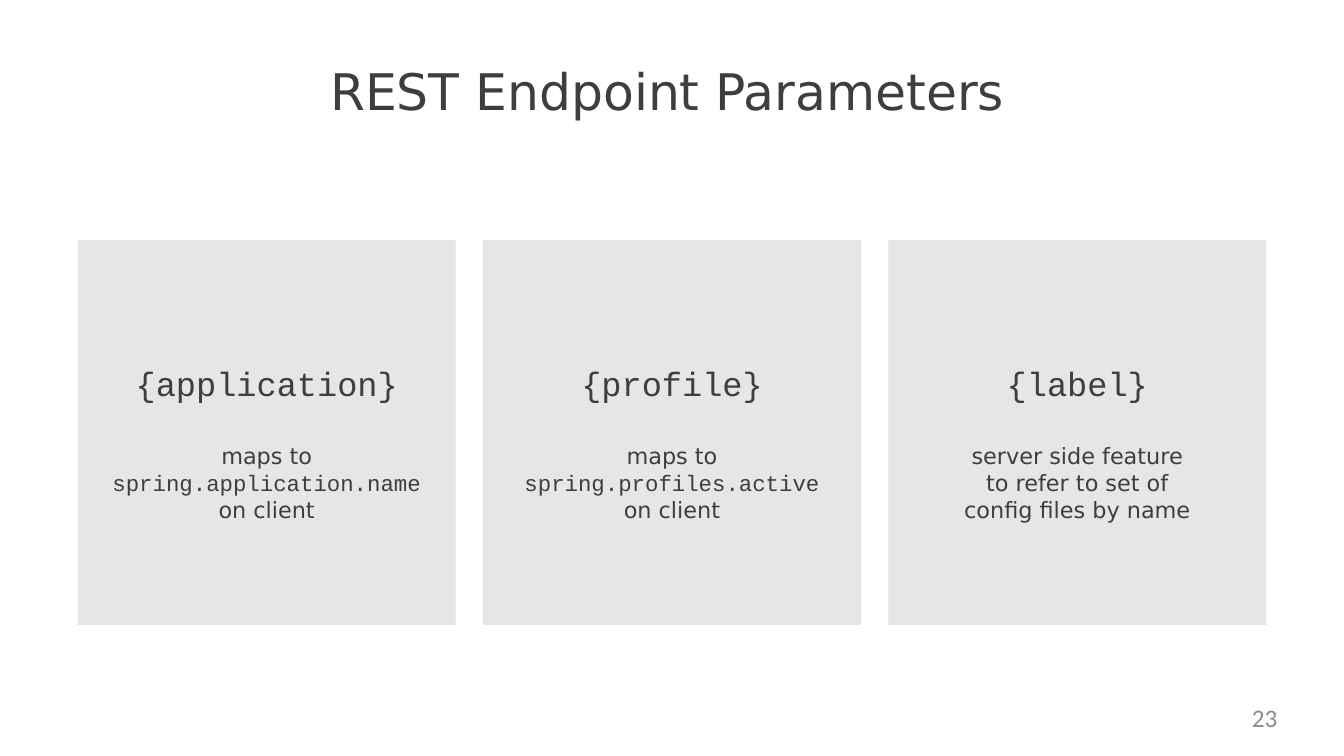
import pptx
import pptx.util
import pptx.dml.color
import pptx.enum.shapes
import pptx.enum.text

Inches = pptx.util.Inches
Pt = pptx.util.Pt
RGBColor = pptx.dml.color.RGBColor
Align = pptx.enum.text.PP_ALIGN

TITLE = "REST Endpoint Parameters"
PAGE_NUMBER = "23"
SANS, MONO, NUMBER_FONT = "DejaVu Sans", "Courier New", "Calibri"
CARDS = [
    ("{application}", [("maps to", SANS), ("spring.application.name", MONO), ("on client", SANS)]),
    ("{profile}", [("maps to", SANS), ("spring.profiles.active", MONO), ("on client", SANS)]),
    ("{label}", [("server side feature", SANS), ("to refer to set of", SANS),
                 ("config files by name", SANS)]),
]

INK = RGBColor(0x3E, 0x3E, 0x3E)
CARD_GRAY = RGBColor(0xE6, 0xE6, 0xE6)
NUMBER_GRAY = RGBColor(0x8C, 0x8C, 0x8C)

CARD_LEFT, CARD_TOP, CARD_WIDTH, CARD_HEIGHT = 0.77, 2.38, 3.75, 3.82
CARD_STEP = 4.02
HEADING_OFFSET = 1.22


def write_lines(para, lines, size, color=INK, align=Align.CENTER, before=0):
    para.alignment = align
    para.space_before = Pt(before)
    for index, (text, font) in enumerate(lines):
        if index:
            para.add_line_break()
        span = para.add_run()
        span.text = text
        span.font.name = font
        span.font.size = Pt(size)
        span.font.color.rgb = color


def prepare_frame(box, top=0):
    frame = box.text_frame
    frame.word_wrap = True
    frame.vertical_anchor = pptx.enum.text.MSO_ANCHOR.TOP
    frame.margin_left = frame.margin_right = frame.margin_bottom = 0
    frame.margin_top = Inches(top)
    return frame


def add_label(page, left, top, width, height, text, font, size, **style):
    box = page.shapes.add_textbox(Inches(left), Inches(top), Inches(width), Inches(height))
    write_lines(prepare_frame(box).paragraphs[0], [(text, font)], size, **style)


def add_card(page, left, heading, body):
    card = page.shapes.add_shape(
        pptx.enum.shapes.MSO_SHAPE.RECTANGLE,
        Inches(left), Inches(CARD_TOP), Inches(CARD_WIDTH), Inches(CARD_HEIGHT))
    card.shadow.inherit = False
    card.fill.solid()
    card.fill.fore_color.rgb = CARD_GRAY
    card.line.fill.background()
    frame = prepare_frame(card, HEADING_OFFSET)
    write_lines(frame.paragraphs[0], [(heading, MONO)], 24)
    write_lines(frame.add_paragraph(), body, 16, before=28)


def main():
    deck = pptx.Presentation()
    deck.slide_width, deck.slide_height = Inches(13.33), Inches(7.5)
    page = deck.slides.add_slide(deck.slide_layouts[6])
    add_label(page, 3.17, 0.6, 6.9, 0.63, TITLE, SANS, 36)
    for index, (heading, body) in enumerate(CARDS):
        add_card(page, CARD_LEFT + index * CARD_STEP, heading, body)
    add_label(page, 9.6, 6.97, 3.07, 0.38, PAGE_NUMBER, NUMBER_FONT, 18,
              color=NUMBER_GRAY, align=Align.RIGHT)
    deck.save("out.pptx")


if __name__ == "__main__":
    main()
